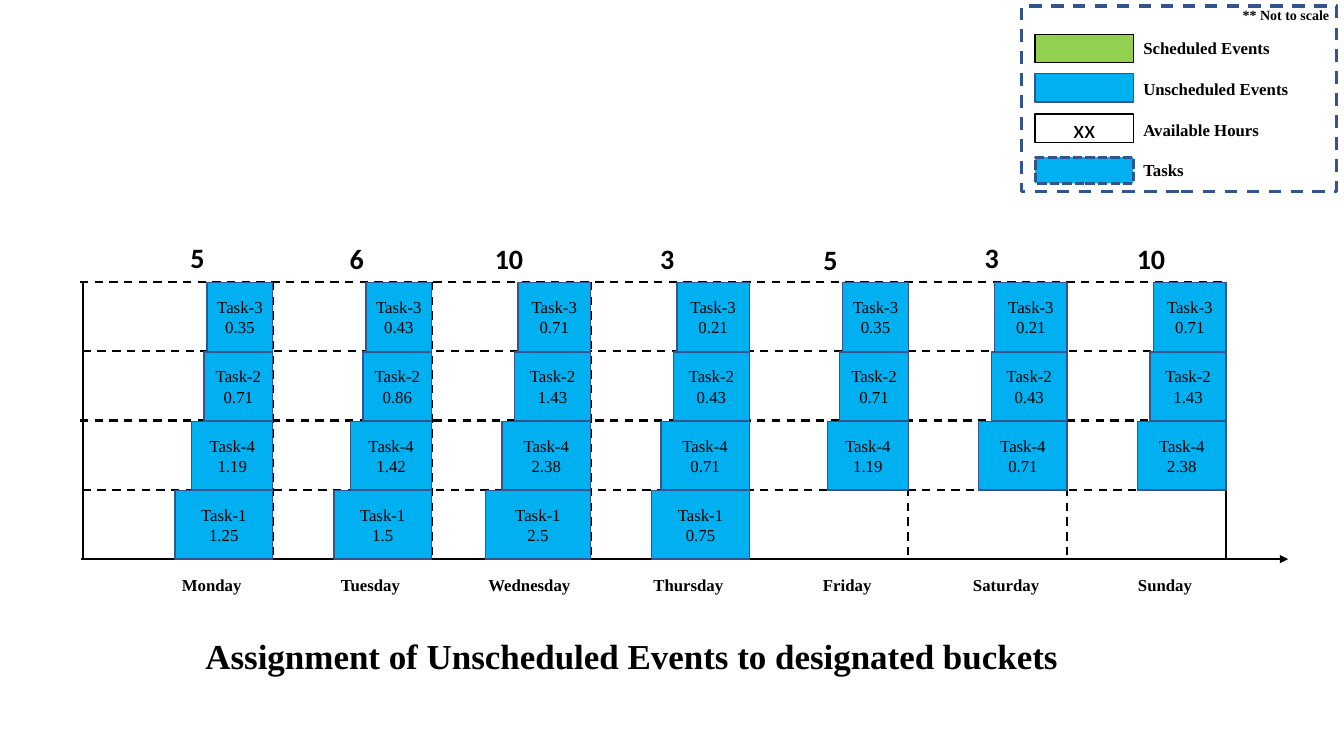
from lxml import etree
from pptx import Presentation
from pptx.dml.color import RGBColor
from pptx.enum.dml import MSO_LINE
from pptx.enum.shapes import MSO_CONNECTOR, MSO_SHAPE
from pptx.enum.text import MSO_ANCHOR, PP_ALIGN
from pptx.oxml.ns import qn
from pptx.util import Pt

BLACK = RGBColor(0x00, 0x00, 0x00)
WHITE = RGBColor(0xFF, 0xFF, 0xFF)
BLUE = RGBColor(0x00, 0xB0, 0xF0)
NAVY = RGBColor(0x32, 0x54, 0x91)
GREEN = RGBColor(0x92, 0xD0, 0x50)
SERIF, SANS = "Times New Roman", "Calibri"
DASH, DOTS = MSO_LINE.DASH, MSO_LINE.ROUND_DOT
SQUARE_DOTS = MSO_LINE.SQUARE_DOT
RECTANGLE, STRAIGHT = MSO_SHAPE.RECTANGLE, MSO_CONNECTOR.STRAIGHT
LEFT, CENTER = PP_ALIGN.LEFT, PP_ALIGN.CENTER
MIDDLE = MSO_ANCHOR.MIDDLE

TITLE = "Assignment of Unscheduled Events to designated buckets"
TASKS = ("Task-1", "Task-4", "Task-2", "Task-3")  # bottom row first
NARROW = (69.8, 57.8, 49, 46.8)
WIDE = (75, 63.2, 54.2, 51.8)
THURSDAY = (NARROW[0],) + WIDE[1:]

# day, available hours, centre and top of that number, box widths, task hours
DAYS = [
    ("Monday", "5", 141.1, 168.5, NARROW, ("1.25", "1.19", "0.71", "0.35")),
    ("Tuesday", "6", 254.9, 169.2, NARROW, ("1.5", "1.42", "0.86", "0.43")),
    ("Wednesday", "10", 363.6, 169.2, WIDE, ("2.5", "2.38", "1.43", "0.71")),
    ("Thursday", "3", 476.6, 169.2, THURSDAY, ("0.75", "0.71", "0.43", "0.21")),
    ("Friday", "5", 593.3, 169.6, NARROW, (None, "1.19", "0.71", "0.35")),
    ("Saturday", "3", 708.5, 168.5, WIDE, (None, "0.71", "0.43", "0.21")),
    ("Sunday", "10", 822.2, 169.2, WIDE, (None, "2.38", "1.43", "0.71")),
]
# label, label top, swatch top, swatch height, swatch text, fill, line format
LEGEND = [
    ("Scheduled Events", 23.2, 24.5, 20.2, "", GREEN, {"color": BLACK}),
    ("Unscheduled Events", 52.9, 52.6, 20.2, "", BLUE, {"color": NAVY}),
    ("Available Hours", 81.6, 81.4, 20.2, "xx", WHITE, {"color": BLACK}),
    ("Tasks", 110.2, 112.3, 18.7, "", BLUE,
     {"color": NAVY, "width": 2.25, "dash": SQUARE_DOTS}),
]

CHART_LEFT, CHART_TOP = 59, 201.4
FIRST_DAY_END, DAY_PITCH, DAY_CENTER = 194.8, 113.5, 151.2
ROW_PITCH, BOX_HEIGHT = 49.5, 49
AXIS_Y = CHART_TOP + len(TASKS) * ROW_PITCH
CHART_RIGHT = FIRST_DAY_END + (len(DAYS) - 1) * DAY_PITCH
LABEL_WIDTH = 88

prs = Presentation()
prs.slide_width, prs.slide_height = Pt(960), Pt(540)
slide = prs.slides.add_slide(prs.slide_layouts[6])


def write(frame, lines, size, font=SERIF, bold=False, align=CENTER):
    frame.word_wrap = True
    for i, words in enumerate(lines):
        paragraph = frame.paragraphs[0] if i == 0 else frame.add_paragraph()
        paragraph.alignment = align
        run = paragraph.add_run()
        run.text = words
        look = {"size": Pt(size), "name": font, "bold": bold}
        for key, value in look.items():
            setattr(run.font, key, value)
        run.font.color.rgb = BLACK


def label(x, y, width, height, words, size=12, **look):
    box = slide.shapes.add_textbox(Pt(x), Pt(y), Pt(width), Pt(height))
    write(box.text_frame, [words], size, bold=True, **look)


def style_line(line, color=BLACK, width=1, dash=None):
    line.color.rgb = color
    line.width = Pt(width)
    if dash:
        line.dash_style = dash


def block(x, y, width, height, fill, line):
    """Add a rectangle; a fill of None leaves it hollow."""
    shape = slide.shapes.add_shape(RECTANGLE, Pt(x), Pt(y), Pt(width), Pt(height))
    shape.shadow.inherit = False
    if fill is None:
        shape.fill.background()
    else:
        shape.fill.solid()
        shape.fill.fore_color.rgb = fill
    style_line(shape.line, **line)
    shape.text_frame.vertical_anchor = MIDDLE
    return shape


def rule(x1, y1, x2, y2, dash=None, arrow=False):
    line = slide.shapes.add_connector(STRAIGHT, Pt(x1), Pt(y1), Pt(x2), Pt(y2))
    style_line(line.line, width=1.5, dash=dash)
    properties = line._element.spPr
    if arrow:
        etree.SubElement(properties.find(qn("a:ln")), qn("a:tailEnd"), type="triangle")
    etree.SubElement(properties, qn("a:effectLst"))


# Axis and grid
rule(57.6, AXIS_Y, 920.2, AXIS_Y, arrow=True)
for day in range(len(DAYS)):
    x = FIRST_DAY_END + day * DAY_PITCH
    rule(x, CHART_TOP, x, AXIS_Y, dash=None if x == CHART_RIGHT else DASH)
rule(CHART_LEFT, CHART_TOP, CHART_LEFT, AXIS_Y)
for row in range(len(TASKS)):
    y = CHART_TOP + row * ROW_PITCH
    shift = 2 * (row % 2)
    rule(872.8 + shift, y, 54.6 + shift, y, dash=DASH)

# Days, hours and tasks
for day, (name, hours, hours_center, hours_top, widths, loads) in enumerate(DAYS):
    day_center = DAY_CENTER + day * DAY_PITCH
    label(day_center - LABEL_WIDTH / 2, 406.8, LABEL_WIDTH, 21.8, name)
    label(hours_center - LABEL_WIDTH / 2, hours_top, LABEL_WIDTH, 31.5, hours, 20, font=SANS)
    day_end = FIRST_DAY_END + day * DAY_PITCH
    for level, (task, width, load) in enumerate(zip(TASKS, widths, loads), 1):
        if load:
            box = block(day_end - width, AXIS_Y - level * ROW_PITCH + 0.5,
                        width, BOX_HEIGHT, BLUE, {"color": NAVY})
            write(box.text_frame, [task, load], 12)

label(107.3, 450, 687.6, 37.4, TITLE, 25)

# Legend
block(729.4, 4.3, 225.4, 132.5, None, {"color": NAVY, "width": 2.25, "dash": DASH})
for name, name_top, top, height, sample, fill, line in LEGEND:
    swatch = block(739.4, top, 70.2, height, fill, line)
    if sample:
        write(swatch.text_frame, [sample], 18, font=SANS)
    label(809.6, name_top, 127.4, 21.8, name, align=LEFT)
label(880.6, 1.4, 86.4, 19.4, "** Not to scale", 10, align=LEFT)

prs.save("out.pptx")
